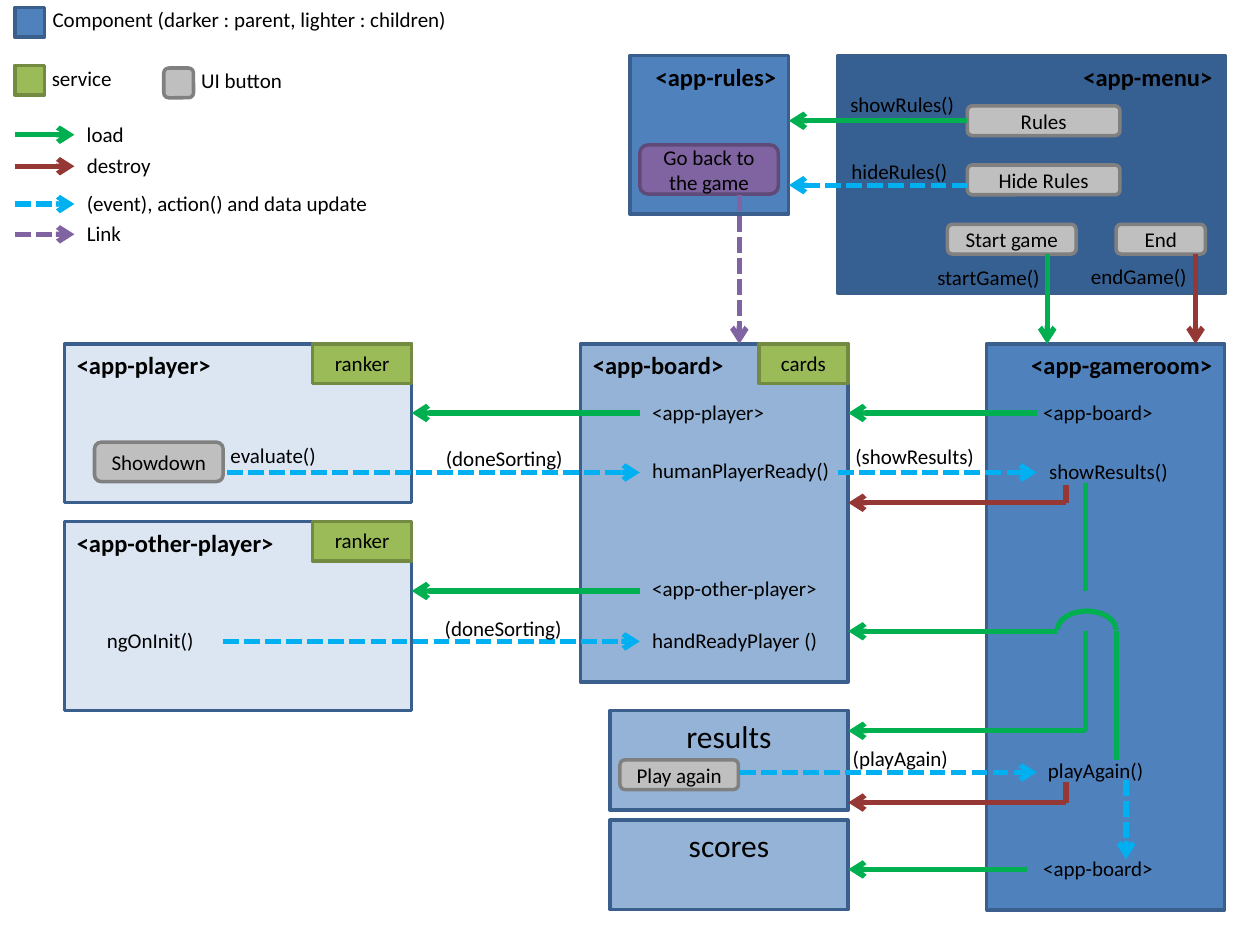
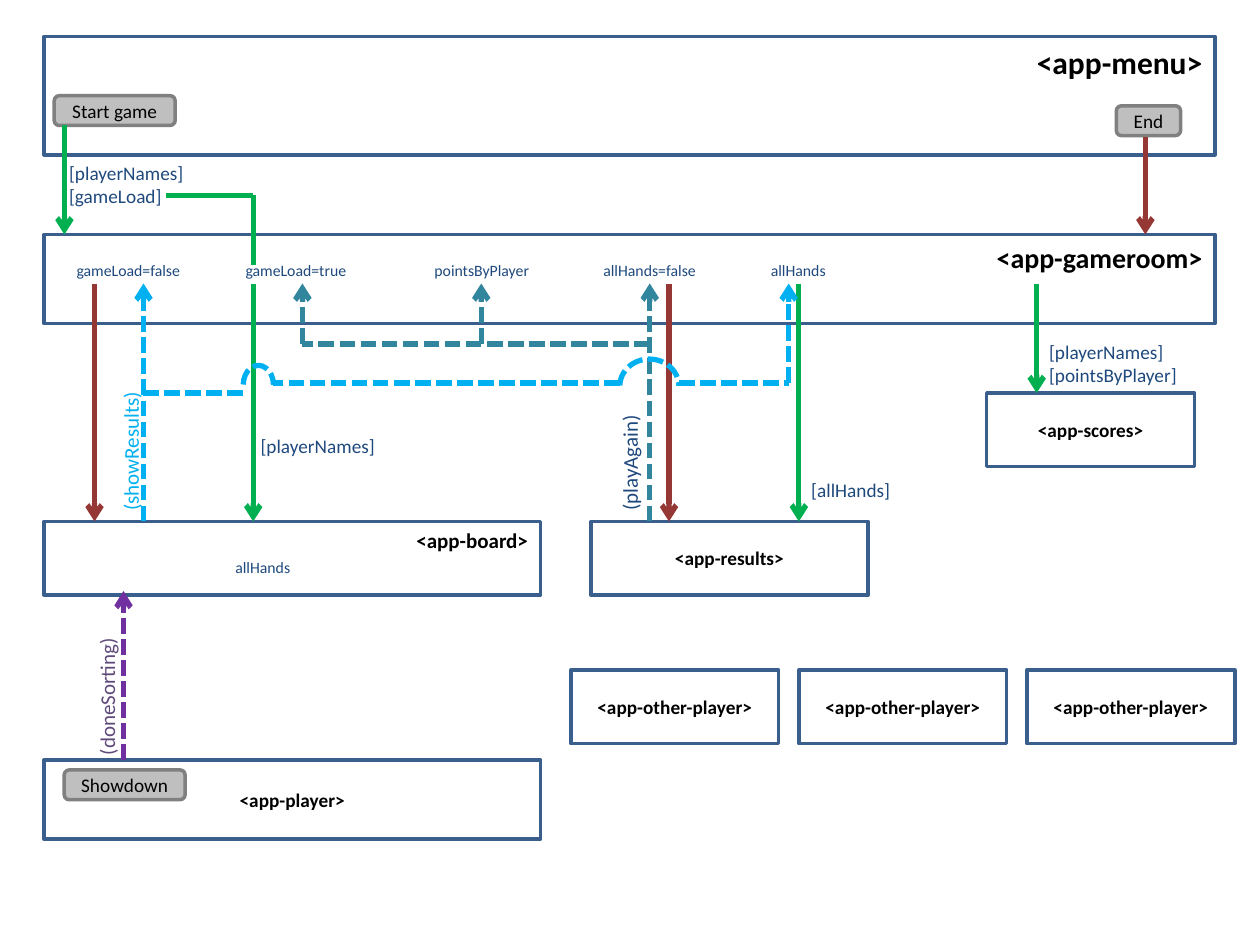
from itertools import pairwise

from lxml import etree
from pptx import Presentation
from pptx.dml import color as dml
from pptx.enum import dml as lines, shapes, text
from pptx.oxml import ns
from pptx.util import Pt

FONT = "Calibri"
COLOURS = {
    "ink": "000000", "navy": "1F497D", "edge": "3A5F8C",
    "menu": "376092", "room": "4F81BD", "board": "95B3D7", "player": "DCE6F2",
    "service": "9BBB59", "service edge": "738A42",
    "button": "BFBFBF", "button edge": "808080",
    "link": "8064A2", "link edge": "5F4A78",
    "load": "00B050", "destroy": "953735", "update": "00B0F0",
    "again": "31859C", "sorting": "7030A0", "sorting text": "604A7B",
}
DASHED = {"update", "link", "again", "sorting"}
ARC_ANGLES = (108.901, 215.5)

LEFT, CENTRE, RIGHT = text.PP_ALIGN.LEFT, text.PP_ALIGN.CENTER, text.PP_ALIGN.RIGHT
TOP, MIDDLE = text.MSO_ANCHOR.TOP, text.MSO_ANCHOR.MIDDLE
RECT, ROUND, ARC = (shapes.MSO_SHAPE.RECTANGLE, shapes.MSO_SHAPE.ROUNDED_RECTANGLE,
                    shapes.MSO_SHAPE.ARC)


def box_style(fill, edge="edge", form=RECT, size=14, bold=True, align=LEFT, anchor=TOP):
    return {"fill": fill, "edge": edge, "form": form, "anchor": anchor,
            "align": align, "font": {"size": Pt(size), "bold": bold}}


def button_style(size, fill="button"):
    return box_style(fill, f"{fill} edge", ROUND, size, False, CENTRE, MIDDLE)


BOX_STYLES = {
    "menu": box_style("menu", align=RIGHT),
    "room": box_style("room", align=RIGHT),
    "board": box_style("board"),
    "player": box_style("player"),
    "panel": box_style("board", size=18, bold=False, align=CENTRE),
    "service": box_style("service", "service edge", size=12, bold=False, align=CENTRE),
    "button": button_style(12),
    "link": button_style(12, "link"),
    "small button": button_style(11),
    "menu outline": box_style(None, size=18, align=RIGHT),
    "room outline": box_style(None, size=16, align=RIGHT),
    "board outline": box_style(None, size=12, align=RIGHT),
    "outline": box_style(None, size=11, align=CENTRE, anchor=MIDDLE),
}
LABEL_STYLES = {  # size, colour, rotation
    "plain": (12, "ink", 0),
    "input": (11, "navy", 0),
    "state": (9, "navy", 0),
    "update event": (12, "update", 270),
    "again event": (12, "navy", 270),
    "sorting event": (12, "sorting text", 270),
}

# Slide 1: component overview
ROW_TOP = 196.6
PLAYER_LEFT, PLAYER_RIGHT, PLAYER_W = 36.8, 235.3, 198.5
BOARD_RIGHT, BOARD_TEXT = 484.7, 365.6
ROOM_TEXT = 592.4
MENU_BUTTON = 552.8
LEGEND_LEFT, LEGEND_TEXT, SWATCH = 8.5, 42.5, 17

LEGEND_ARROWS = [  # line, wording, y, label width
    ("load", "load", 77, 39),
    ("destroy", "destroy", 95, 51),
    ("update", "(event), action() and data update", 116.6, 176.5),
    ("link", "Link", 133.9, 34.6),
]
OVERVIEW_BOXES = [  # style, wording, left, top, width, height
    ("room", "<app-gameroom>", 563.8, ROW_TOP, 136, 323.3),
    ("panel", "results", 348.6, 406, 136, 57),
    ("menu", "<app-menu>", 479, 31.7, 221, 136),
    ("room", "<app-rules>", 360, 31.7, 90.7, 90.7),
    ("board", "<app-board>", 331.7, ROW_TOP, 153, 193),
    ("player", "<app-player>", PLAYER_LEFT, ROW_TOP, PLAYER_W, 90.7),
    ("player", "<app-other-player>", PLAYER_LEFT, 298, PLAYER_W, 108),
    ("panel", "scores", 348.6, 468.7, 136, 51),
    ("service", "ranker", 178.6, ROW_TOP, 56.7, 22.5),
    ("service", "cards", 433.6, ROW_TOP, 51, 22.5),
    ("service", "ranker", 178.6, 298, 56.7, 22.5),
    ("room", "", LEGEND_LEFT, 4.3, SWATCH, SWATCH),
    ("service", "", LEGEND_LEFT, 37.4, SWATCH, SWATCH),
    ("button", "", 93.6, 38.9, SWATCH, SWATCH),
]
OVERVIEW_BUTTONS = [
    ("button", "End", 637.8, 128.2, 51, SWATCH),
    ("button", "Start game", 541.4, 128.2, 73.5, SWATCH),
    ("button", "Rules", MENU_BUTTON, 60.5, 87.2, SWATCH),
    ("button", "Hide Rules", MENU_BUTTON, 94.3, 87.2, SWATCH),
    ("link", "Go back to the game", 365.6, 82.8, 79.2, 28.1),
    ("button", "Showdown", 54, 252.7, 73.5, 22.5),
    ("button", "Play again", 354.3, 434.2, 67.7, SWATCH),
]
OVERVIEW_ROUTES = [  # line, points, arrowhead at the last point
    ("update", [(MENU_BUTTON, 105.8), (450.8, 105.8)], True),
    ("load", [(MENU_BUTTON, 69), (450.8, 69)], True),
    ("load", [(598.4, 145.4), (598.4, ROW_TOP)], True),
    ("destroy", [(683.2, 145.4), (683.2, ROW_TOP)], True),
    ("link", [(422.5, 111.6), (422.5, ROW_TOP)], True),
    ("load", [(ROOM_TEXT, 236), (BOARD_RIGHT, 236)], True),
    ("load", [(BOARD_TEXT, 236), (PLAYER_RIGHT, 236)], True),
    ("load", [(BOARD_TEXT, 337.7), (PLAYER_RIGHT, 337.7)], True),
    ("update", [(129.6, 270), (BOARD_TEXT, 270)], True),
    ("update", [(479, 270), (ROOM_TEXT, 270)], True),
    ("update", [(127.6, 366.5), (BOARD_TEXT, 366.5)], True),
    ("destroy", [(609.1, 277.2), (609.1, 287.3), (BOARD_RIGHT, 287.3)], True),
    ("load", [(620.5, 275.8), (620.5, 337.7)], False),
    ("load", [(620.5, 360.7), (620.5, 417.6), (BOARD_RIGHT, 417.6)], True),
    ("update", [(423, 441.4), (ROOM_TEXT, 441.4)], True),
    ("destroy", [(609.1, 447.1), (609.1, 458.6), (BOARD_RIGHT, 458.6)], True),
    ("load", [(637.8, 360.7), (637.8, 434.2)], False),
    ("load", [(604.1, 360.7), (BOARD_RIGHT, 360.7)], True),
    ("update", [(643.5, 445.7), (643.5, 491)], True),
    ("load", [(586.8, 496.8), (BOARD_RIGHT, 496.8)], True),
]
OVERVIEW_ARCS = [("load", 604.1, 349.2, 33.8, 22.3)]
OVERVIEW_LABELS = {  # wording, left, top, width
    "plain": [
        ("Component (darker : parent, lighter : children)", 23, 0, 241),
        ("service", 22.5, 33.8, 49),
        ("UI button", 107.9, 35.3, 61.3),
        ("startGame()", 528.5, 147.6, 73.4),
        ("endGame()", 616.3, 146.9, 69.8),
        ("showRules()", 478.8, 49, 74.9),
        ("hideRules()", 479.5, 87.1, 69.8),
        ("<app-board>", 589, 224.6, 77.8),
        ("<app-player>", BOARD_TEXT, 224.6, 79.2),
        ("<app-other-player>", BOARD_TEXT, 325.4, 109.4),
        ("humanPlayerReady()", BOARD_TEXT, 257.8, 116.6),
        ("handReadyPlayer ()", BOARD_TEXT, 355, 109.4),
        ("(doneSorting)", 247.7, 251.3, 82),
        ("(doneSorting)", 247, 348.5, 82),
        ("evaluate()", 124.6, 249.1, 63.4),
        ("ngOnInit()", 54, 355, 67),
        ("(showResults)", 481.7, 249.8, 83.5),
        ("showResults()", ROOM_TEXT, 258.5, 83.5),
        ("(playAgain)", 480.2, 422.6, 69),
        ("playAgain()", 591.8, 429.1, 69),
        ("<app-board>", 589, 485.3, 77.8),
    ],
}
for kind, wording, y, width in LEGEND_ARROWS:
    OVERVIEW_ROUTES.append((kind, [(LEGEND_LEFT, y), (LEGEND_TEXT, y)], True))
    OVERVIEW_LABELS["plain"].append((wording, LEGEND_TEXT, y - 11.2, width))

# Slide 2: data flow
MARGIN, WIDE, HALF = 25.2, 669, 283.7
ROOM_TOP, STATE_TOP, STATE_FOOT, CHILD_TOP = 134, 145.4, 162, 298
CARD_W, CARD_H, CARD_STEP = 118.8, 42, 130.3

FLOW_BOXES = [
    ("menu outline", "<app-menu>", MARGIN, 20.9, WIDE, 67.7),
    ("room outline", "<app-gameroom>", MARGIN, ROOM_TOP, WIDE, 51),
    ("board outline", "<app-board>", MARGIN, CHILD_TOP, HALF, CARD_H),
    ("outline", "<app-results>", 337.7, CHILD_TOP, 158.4, CARD_H),
    ("outline", "<app-scores>", 563.8, 224.6, CARD_W, CARD_H),
    ("outline", "<app-player>", MARGIN, 434.2, HALF, 45.4),
] + [("outline", "<app-other-player>", 326.2 + i * CARD_STEP, 383, CARD_W, CARD_H)
     for i in range(3)]
FLOW_BUTTONS = [
    ("small button", "Start game", 31, 54.7, 69.1, SWATCH),
    ("small button", "End", 637.9, 60.5, 36.7, SWATCH),
    ("small button", "Showdown", 36.7, 440, 69.1, SWATCH),
]
FLOW_ROUTES = [
    ("destroy", [(654.5, 78.5), (654.5, ROOM_TOP)], True),
    ("load", [(36.8, 71.3), (36.8, ROOM_TOP)], True),
    ("load", [(144.7, STATE_FOOT), (144.7, CHILD_TOP)], True),
    ("load", [(592.4, STATE_FOOT), (592.4, 224.6)], True),
    ("load", [(456.5, STATE_FOOT), (456.5, CHILD_TOP)], True),
    ("destroy", [(54, STATE_FOOT), (54, CHILD_TOP)], True),
    ("update", [(82, CHILD_TOP), (82, STATE_FOOT)], True),
    ("destroy", [(382.3, STATE_FOOT), (382.3, CHILD_TOP)], True),
    ("again", [(371.3, CHILD_TOP), (371.3, STATE_FOOT)], True),
    ("again", [(371.3, 196.6), (172.8, 196.6), (172.8, STATE_FOOT)], True),
    ("again", [(275, 196.6), (275, STATE_FOOT)], True),
    ("load", [(95, 111.6), (144.7, 111.6), (144.7, 151.2)], False),
    ("update", [(139, 224.6), (82, 224.6)], False),
    ("update", [(354.2, 218.9), (156.2, 218.9)], False),
    ("update", [(388.1, 218.9), (450.7, 218.9), (450.7, STATE_FOOT)], True),
    ("sorting", [(70.6, 434.2), (70.6, 337.7)], True),
]
FLOW_ARCS = [("update", 139, 208.8, 17.3, 22.3), ("update", 354.2, 205.2, 33.8, 31)]
FLOW_LABELS = {
    "input": [
        ("[playerNames]\n[gameLoad]", 32.4, 88.6, 82.8),
        ("[playerNames]", 141.8, 244.8, 80.6),
        ("[playerNames]\n[pointsByPlayer]", 592.4, 190.8, 88.6),
        ("[allHands]", 456.5, 270, 59.8),
    ],
    "state": [
        ("gameLoad=false", 36.7, STATE_TOP, 74.2),
        ("gameLoad=true", 133.2, STATE_TOP, 72.7),
        ("pointsByPlayer", 241.2, STATE_TOP, 69.8),
        ("allHands=false", 337.7, STATE_TOP, 68.4),
        ("allHands", 433.4, STATE_TOP, 46),
        ("allHands", 127.4, 315.4, 46),
    ],
    "update event": [("(showResults)", 33.1, 246.2, 83.5)],
    "again event": [("(playAgain)", 325.4, 253.4, 69)],
    "sorting event": [("(doneSorting)", 20.2, 386.6, 82)],
}


def rgb(name):
    return dml.RGBColor.from_string(COLOURS[name])


def write(frame, wording, font, colour, align=LEFT, **frame_format):
    for name, value in frame_format.items():
        setattr(frame, name, value)
    frame.text = wording
    for paragraph in frame.paragraphs:
        paragraph.alignment = align
        for name, value in {"name": FONT, **font}.items():
            setattr(paragraph.font, name, value)
        paragraph.font.color.rgb = rgb(colour)


def draw_shape(slide, form, place, fill, edge, weight):
    shape = slide.shapes.add_shape(form, *map(Pt, place))
    shape.shadow.inherit = False
    if fill:
        shape.fill.solid()
        shape.fill.fore_color.rgb = rgb(fill)
    else:
        shape.fill.background()
    shape.line.color.rgb = rgb(edge)
    shape.line.width = Pt(weight)
    return shape


def draw_box(slide, style_name, wording, *place):
    style = BOX_STYLES[style_name]
    box = draw_shape(slide, style["form"], place, style["fill"], style["edge"], 2)
    if wording:
        write(box.text_frame, wording, style["font"], "ink", style["align"],
              vertical_anchor=style["anchor"], word_wrap=True)
    return box


def draw_arc(slide, kind, *place):
    arc = draw_shape(slide, ARC, place, None, kind, 3)
    for i, angle in enumerate(ARC_ANGLES):
        arc.adjustments[i] = angle
    if kind in DASHED:
        arc.line.dash_style = lines.MSO_LINE.SQUARE_DOT


def side_at(boxes, x, y):
    """The box and side number whose middle lies at the point, if any."""
    for box in boxes:
        centre, middle = box.left + box.width / 2, box.top + box.height / 2
        sides = [(centre, box.top), (box.left, middle),
                 (centre, box.top + box.height), (box.left + box.width, middle)]
        for number, (side_x, side_y) in enumerate(sides):
            if max(abs(side_x - Pt(x)), abs(side_y - Pt(y))) < Pt(0.5):
                return box, number
    return None


def draw_route(slide, boxes, kind, points, arrow):
    for start, end in pairwise(points):
        segment = slide.shapes.add_connector(
            shapes.MSO_CONNECTOR.STRAIGHT, *map(Pt, start + end))
        for point, connect in ((start, segment.begin_connect), (end, segment.end_connect)):
            if side := side_at(boxes, *point):
                connect(*side)
        segment.line.color.rgb = rgb(kind)
        segment.line.width = Pt(3)
        if kind in DASHED:
            segment.line.dash_style = lines.MSO_LINE.SQUARE_DOT
        properties = segment.element.spPr
        if arrow and end == points[-1]:
            etree.SubElement(properties.find(ns.qn("a:ln")), ns.qn("a:tailEnd"), type="arrow")
        etree.SubElement(properties, ns.qn("a:effectLst"))


def draw_label(slide, style_name, wording, left, top, width):
    size, colour, rotation = LABEL_STYLES[style_name]
    height = 7.2 + 1.22 * size * len(wording.split("\n"))
    label = slide.shapes.add_textbox(*map(Pt, (left, top, width, height)))
    label.rotation = rotation
    write(label.text_frame, wording, {"size": Pt(size)}, colour, word_wrap=False,
          auto_size=text.MSO_AUTO_SIZE.SHAPE_TO_FIT_TEXT)


def draw_diagram(deck, boxes, buttons, routes, arcs, labels):
    slide = deck.slides.add_slide(deck.slide_layouts[6])
    drawn = [draw_box(slide, *box) for box in boxes + buttons]
    for route in routes:
        draw_route(slide, drawn, *route)
    for arc in arcs:
        draw_arc(slide, *arc)
    for style_name, group in labels.items():
        for label in group:
            draw_label(slide, style_name, *label)


def main():
    deck = Presentation()
    deck.slide_width, deck.slide_height = Pt(720), Pt(540)
    draw_diagram(deck, OVERVIEW_BOXES, OVERVIEW_BUTTONS, OVERVIEW_ROUTES,
                 OVERVIEW_ARCS, OVERVIEW_LABELS)
    draw_diagram(deck, FLOW_BOXES, FLOW_BUTTONS, FLOW_ROUTES, FLOW_ARCS, FLOW_LABELS)
    deck.save("out.pptx")


if __name__ == "__main__":
    main()
